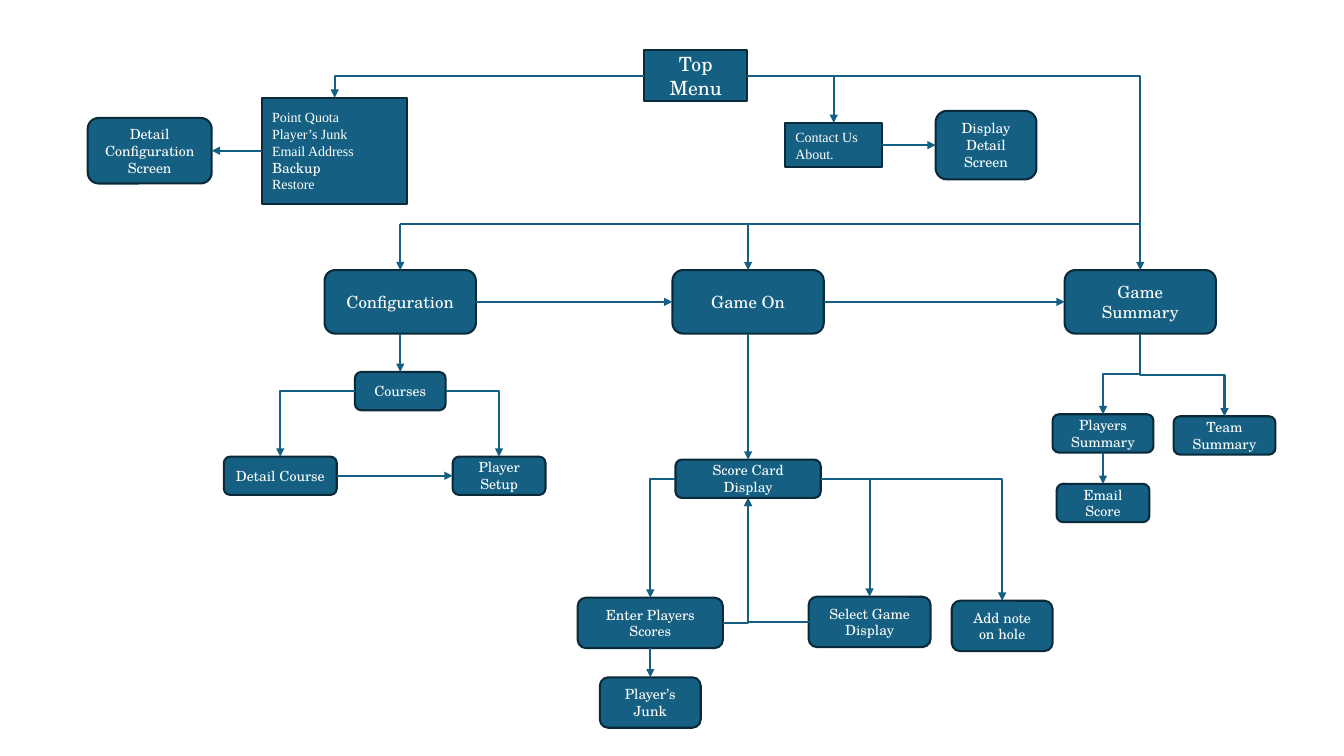
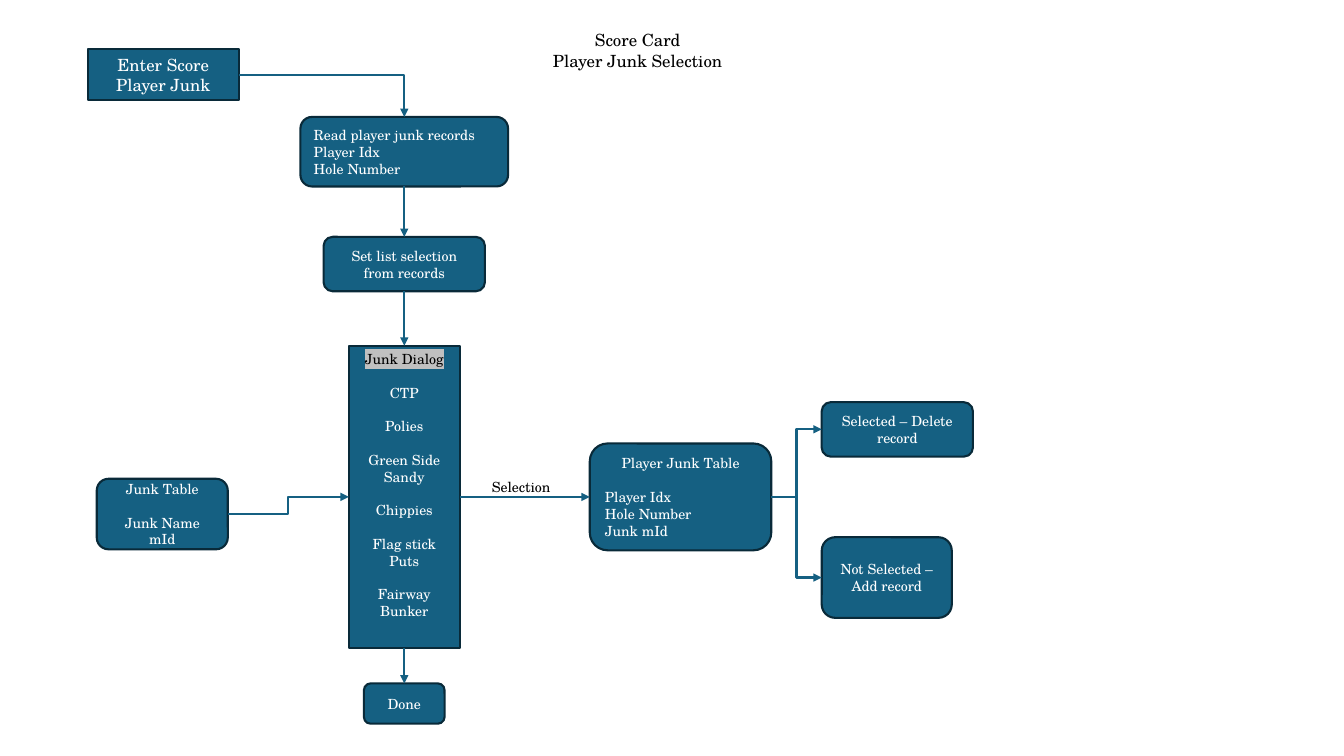
import dataclasses

import lxml.etree
import pptx
import pptx.dml.color
import pptx.enum.shapes
import pptx.enum.text
import pptx.oxml
import pptx.oxml.ns
import pptx.util

PX = 9144  # EMU: 100 px to the inch
TOP, LEFT, BOTTOM, RIGHT = range(4)

SHAPES = pptx.enum.shapes.MSO_SHAPE
CONNECTORS = pptx.enum.shapes.MSO_CONNECTOR
ALIGN = pptx.enum.text.PP_ALIGN
ANCHOR = pptx.enum.text.MSO_ANCHOR


@dataclasses.dataclass(frozen=True)
class Theme:
    box: str = "156082"
    border: str = "092A39"
    light: str = "FFFFFF"
    dark: str = "000000"
    highlight: str = "C0C0C0"
    font: str = "TeX Gyre Schola"
    list_font: str = "Times New Roman"
    small: int = 10
    medium: int = 12
    large: int = 14
    line_width: float = 1.5


THEME = Theme()


def rgb(value):
    return pptx.dml.color.RGBColor.from_string(value)


def add_element(parent, tag, **attributes):
    element = lxml.etree.SubElement(parent, pptx.oxml.ns.qn(tag))
    for name, value in attributes.items():
        element.set(name, value)
    return element


def highlight_run(run, color):
    properties = run.font._element
    highlight = add_element(properties, "a:highlight")
    add_element(highlight, "a:srgbClr", val=color)
    properties.find(pptx.oxml.ns.qn("a:latin")).addprevious(highlight)


def write_text(frame, lines, **text_format):
    """Write one paragraph per line; a line may be (text, its own format)."""
    for index, line in enumerate(lines):
        text, own_format = (line, {}) if isinstance(line, str) else line
        style = {"font": THEME.font, "size": THEME.small, "color": THEME.light,
                 "align": ALIGN.CENTER, "gap": 0, "highlight": None,
                 **text_format, **own_format}
        paragraph = frame.paragraphs[0] if index == 0 else frame.add_paragraph()
        paragraph.alignment = style["align"]
        if index and style["gap"]:
            paragraph.space_before = pptx.util.Pt(style["gap"])
        run = paragraph.add_run()
        run.text = text
        run.font.name = style["font"]
        run.font.size = pptx.util.Pt(style["size"])
        run.font.color.rgb = rgb(style["color"])
        if style["highlight"]:
            highlight_run(run, style["highlight"])


def side_middle(shape, side):
    across = {LEFT: 0, RIGHT: shape.width}.get(side, shape.width // 2)
    down = {TOP: 0, BOTTOM: shape.height}.get(side, shape.height // 2)
    return shape.left + across, shape.top + down


def bend_vertically(connector, begin, end):
    """Turn an elbow a quarter so that it leaves and arrives vertically."""
    across, down = end[0] - begin[0], end[1] - begin[1]
    connector.width, connector.height = abs(down), abs(across)
    connector.left = (begin[0] + end[0] - abs(down)) // 2
    connector.top = (begin[1] + end[1] - abs(across)) // 2
    transform = connector._element.spPr.get_or_add_xfrm()
    transform.set("rot", "5400000")
    transform.flipH = False
    transform.flipV = across > 0


class FlowChart:
    def __init__(self, presentation):
        self.presentation = presentation
        self.slide = None

    def new_slide(self):
        blank = self.presentation.slide_layouts[6]
        self.slide = self.presentation.slides.add_slide(blank)

    def box(self, left, top, width, height, *lines, rounded=True,
            anchor=ANCHOR.MIDDLE, **text_format):
        kind = SHAPES.ROUNDED_RECTANGLE if rounded else SHAPES.RECTANGLE
        shape = self.slide.shapes.add_shape(
            kind, left * PX, top * PX, width * PX, height * PX)
        shape.shadow.inherit = False
        shape.fill.solid()
        shape.fill.fore_color.rgb = rgb(THEME.box)
        shape.line.color.rgb = rgb(THEME.border)
        shape.line.width = pptx.util.Pt(THEME.line_width)
        shape.text_frame.word_wrap = True
        shape.text_frame.vertical_anchor = anchor
        write_text(shape.text_frame, lines, **text_format)
        return shape

    def label(self, left, top, width, height, *lines, **text_format):
        box = self.slide.shapes.add_textbox(
            left * PX, top * PX, width * PX, height * PX)
        frame = box.text_frame
        frame.word_wrap = False
        frame.auto_size = pptx.enum.text.MSO_AUTO_SIZE.SHAPE_TO_FIT_TEXT
        write_text(frame, lines, color=THEME.dark, **text_format)

    def line(self, begin, end, kind=CONNECTORS.STRAIGHT, arrow=False):
        """Draw a connector between two points given in EMU."""
        connector = self.slide.shapes.add_connector(kind, *begin, *end)
        connector.line.color.rgb = rgb(THEME.box)
        connector.line.width = pptx.util.Pt(THEME.line_width)
        if arrow:
            add_element(connector.line._get_or_add_ln(), "a:tailEnd", type="triangle")
        add_element(connector._element.spPr, "a:effectLst")
        return connector

    def arrow(self, source, source_side, target, target_side):
        """Join two boxes, straight if they line up and with an elbow if not."""
        begin = side_middle(source, source_side)
        end = side_middle(target, target_side)
        straight = begin[0] == end[0] or begin[1] == end[1]
        kind = CONNECTORS.STRAIGHT if straight else CONNECTORS.ELBOW
        connector = self.line(begin, end, kind, arrow=True)
        connector.begin_connect(source, source_side)
        connector.end_connect(target, target_side)
        if straight:
            return
        vertical = (TOP, BOTTOM)
        if (source_side in vertical) != (target_side in vertical):
            connector._element.spPr.prstGeom.set("prst", "bentConnector2")
        elif source_side in vertical:
            bend_vertically(connector, begin, end)

    def branch(self, start, *targets):
        """Run a level line from start over the targets, with a drop to each."""
        drops = [(side_middle(target, TOP)[0], start[1]) for target in targets]
        self.line(start, min(drops))
        for drop, target in zip(drops, targets):
            self.line(drop, side_middle(target, TOP), arrow=True).end_connect(target, TOP)


def build_menu_slide(chart):
    chart.new_slide()
    top_menu = chart.box(639, 50, 102, 50, "Top", "Menu", rounded=False,
                         size=THEME.large)
    options = chart.box(260, 97, 144, 105, "Point Quota", "Player’s Junk",
                        "Email Address", ("Backup", {"font": THEME.font}), "Restore",
                        rounded=False, font=THEME.list_font, align=ALIGN.LEFT)
    detail_configuration = chart.box(87, 117, 123, 65, "Detail", "Configuration", "Screen")
    contact = chart.box(779, 122, 96, 44, "Contact Us", "About.", rounded=False,
                        font=THEME.list_font, align=ALIGN.LEFT)
    display_detail = chart.box(928, 110, 100, 68, "Display Detail Screen")

    configuration, game_on, game_summary = (
        chart.box(left, 268, 150, 63, text, size=THEME.medium)
        for left, text in ((322, "Configuration"), (667, "Game On"),
                           (1056, "Game Summary")))

    courses = chart.box(352, 369, 90, 38, "Courses")
    detail_course = chart.box(222, 453, 112, 38, "Detail Course")
    player_setup = chart.box(449, 453, 92, 38, "Player Setup")

    score_card = chart.box(670, 456, 144, 38, "Score Card", "Display")
    enter_scores = chart.box(573, 593, 144, 50, "Enter Players", "Scores")
    select_game = chart.box(802, 592, 121, 50, "Select Game", "Display")
    add_note = chart.box(944, 596, 100, 50, "Add note on hole")
    player_junk = chart.box(595, 672, 100, 50, "Player’s", "Junk")

    players_summary = chart.box(1044, 411, 100, 38, "Players", "Summary")
    team_summary = chart.box(1164, 413, 101, 38, "Team Summary")
    email_score = chart.box(1048, 480, 92, 38, "Email Score")

    for link in (
        (top_menu, LEFT, options, TOP),
        (options, LEFT, detail_configuration, RIGHT),
        (top_menu, RIGHT, contact, TOP),
        (contact, RIGHT, display_detail, LEFT),
        (top_menu, RIGHT, game_summary, TOP),
        (configuration, RIGHT, game_on, LEFT),
        (game_on, RIGHT, game_summary, LEFT),
        (configuration, BOTTOM, courses, TOP),
        (courses, LEFT, detail_course, TOP),
        (courses, RIGHT, player_setup, TOP),
        (detail_course, RIGHT, player_setup, LEFT),
        (game_on, BOTTOM, score_card, TOP),
        (score_card, LEFT, enter_scores, TOP),
        (score_card, RIGHT, select_game, TOP),
        (score_card, RIGHT, add_note, TOP),
        (enter_scores, RIGHT, score_card, BOTTOM),
        (select_game, LEFT, score_card, BOTTOM),
        (enter_scores, BOTTOM, player_junk, TOP),
        (game_summary, BOTTOM, players_summary, TOP),
        (game_summary, BOTTOM, team_summary, TOP),
        (players_summary, BOTTOM, email_score, TOP),
    ):
        chart.arrow(*link)
    trunk_x = side_middle(game_summary, TOP)[0]
    chart.branch((trunk_x, 222 * PX), configuration, game_on)


def build_junk_slide(chart):
    chart.new_slide()
    chart.label(537, 25, 191, 50, "Score Card", "Player Junk Selection",
                size=THEME.medium)
    enter_score = chart.box(87, 49, 150, 50, "Enter Score", "Player Junk",
                            rounded=False, size=THEME.medium)
    read_records = chart.box(298, 116, 206, 69, "Read player junk records",
                             "Player Idx", "Hole Number", align=ALIGN.LEFT)
    set_list = chart.box(321, 235, 160, 54, "Set list selection from records")
    dialog = chart.box(
        346, 343, 110, 300,
        ("Junk Dialog", {"color": THEME.dark, "highlight": THEME.highlight}),
        "CTP", "Polies", "Green Side Sandy", "Chippies", "Flag stick Puts",
        "Fairway Bunker", rounded=False, anchor=ANCHOR.TOP, gap=12)
    done = chart.box(361, 678, 80, 40, "Done")
    junk_table = chart.box(96, 475, 130, 70, "Junk Table",
                           ("Junk Name", {"gap": 12}), "mId")
    player_table = chart.box(
        585, 440, 180, 106, ("Player Junk Table", {"align": ALIGN.CENTER}),
        ("Player Idx", {"gap": 12}), "Hole Number", "Junk mId", align=ALIGN.LEFT)
    delete_record = chart.box(815, 399, 150, 54, "Selected – Delete record")
    add_record = chart.box(815, 533, 129, 80, "Not Selected – Add record")
    chart.label(478, 470, 79, 27, "Selection", align=ALIGN.LEFT)

    for link in (
        (enter_score, RIGHT, read_records, TOP),
        (read_records, BOTTOM, set_list, TOP),
        (set_list, BOTTOM, dialog, TOP),
        (dialog, BOTTOM, done, TOP),
        (junk_table, RIGHT, dialog, LEFT),
        (dialog, RIGHT, player_table, LEFT),
        (player_table, RIGHT, delete_record, LEFT),
        (player_table, RIGHT, add_record, LEFT),
    ):
        chart.arrow(*link)


def main():
    presentation = pptx.Presentation()
    presentation.slide_width = 1333 * PX
    presentation.slide_height = 750 * PX
    chart = FlowChart(presentation)
    build_menu_slide(chart)
    build_junk_slide(chart)
    presentation.save("out.pptx")


if __name__ == "__main__":
    main()
